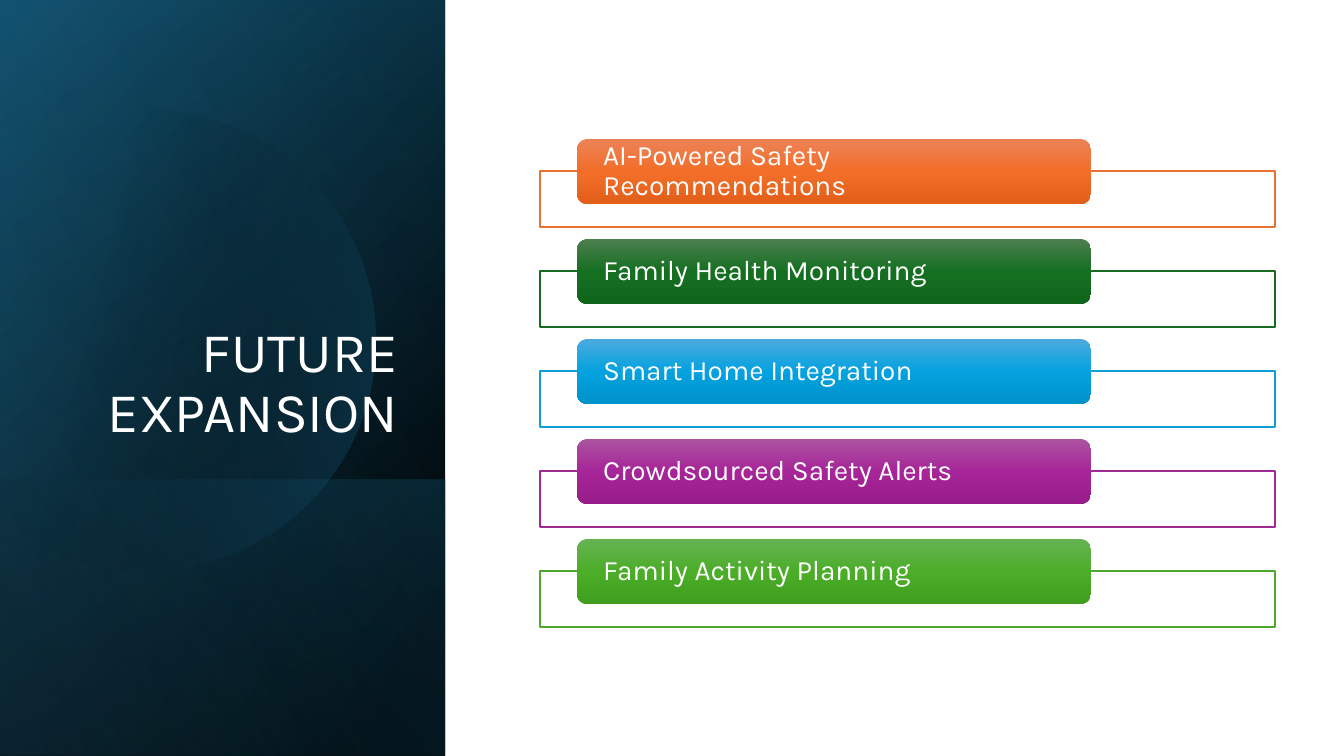
from dataclasses import dataclass
from math import acos, cos, sin

from pptx import Presentation
from pptx.dml.color import RGBColor
from pptx.enum.shapes import MSO_SHAPE as SHAPE
from pptx.enum.text import MSO_ANCHOR as ANCHOR, MSO_AUTO_SIZE as AUTOSIZE, PP_ALIGN as ALIGN
from pptx.oxml import parse_xml
from pptx.oxml.ns import nsdecls
from pptx.util import Pt

# Content
TITLE = "FUTURE EXPANSION"
# label, outline, pill gradient from top to bottom
ROWS = [
    ("AI-Powered Safety Recommendations", "E97132", ("ED8257", "F26E29", "E25F1A")),
    ("Family Health Monitoring", "196B24", ("4D7E50", "156F21", "0F661B")),
    ("Smart Home Integration", "0F9ED5", ("4CAADF", "05A2DF", "0092CB")),
    ("Crowdsourced Safety Alerts", "A02B93", ("AC53A0", "A62598", "991C8B")),
    ("Family Activity Planning", "4EA72E", ("66B354", "4BAD28", "409F1E")),
]


@dataclass(frozen=True)
class Theme:
    font: str = "Karla"
    title_size: int = 40
    label_size: int = 20
    white: str = "FFFFFF"
    black: str = "000000"
    teal: str = "104862"
    blue: str = "156082"
    sky: str = "46B1E1"


T = Theme()

# Geometry in px
SLIDE_W, SLIDE_H = 1344, 756
PANEL_W = 445
BAND_TOP = 480
DISC_X, DISC_Y, DISC_R, DISC_STEPS = 145, 340, 230, 120
TITLE_BOX = (64, 185, 344, 265)
FRAME_X, FRAME_Y, FRAME_W, FRAME_H = 540, 171, 735, 56
PILL_X, PILL_Y, PILL_W, PILL_H = 577, 139, 514, 65
ROW_PITCH = 100
LABEL_INSET = 23

# Panel layers: top, gradient stops (position %, colour, opacity %), angle
LAYERS = [
    (0, [(8, T.black, 100), (100, T.teal, 100)], 50),
    (0, [(0, T.black, 0), (99, T.blue, 46)], 30),
    (BAND_TOP, [(2, T.blue, 29), (100, T.black, 30)], 130),
]
DISC_STOPS = [(29, T.black, 0), (100, T.blue, 43)]
SHEEN = (0, [(0, T.black, 0), (99, T.sky, 11)], 120)


def px(n):
    return round(n * 914400 / 100.8)


def set_gradient(sp, stops, angle):
    sp.fill.background()
    stops_xml = "".join(
        f'<a:gs pos="{pos * 1000}"><a:srgbClr val="{color}">'
        f'<a:alpha val="{alpha * 1000}"/></a:srgbClr></a:gs>'
        for pos, color, alpha in stops)
    grad = parse_xml(
        f'<a:gradFill rotWithShape="1" {nsdecls("a")}><a:gsLst>{stops_xml}</a:gsLst>'
        f'<a:lin ang="{angle * 60000}" scaled="0"/></a:gradFill>')
    spPr = sp._element.spPr
    spPr.replace(spPr.find("{*}noFill"), grad)


def add_box(s, kind, x, y, w, h):
    sp = s.shapes.add_shape(kind, px(x), px(y), px(w), px(h))
    sp.shadow.inherit = False
    sp.line.fill.background()
    return sp


def add_layer(s, top, stops, angle):
    """Panel rectangle turned a quarter, mirrored, and reaching the slide bottom."""
    w, h = SLIDE_H - top, PANEL_W
    sp = add_box(s, SHAPE.RECTANGLE, (PANEL_W - w) / 2, (top + SLIDE_H - h) / 2, w, h)
    sp.rotation = 90
    sp._element.spPr.xfrm.set("flipH", "1")
    set_gradient(sp, stops, angle)


def add_disc(s):
    """Circle cut off by the left edge of the slide."""
    reach = acos(-DISC_X / DISC_R)
    angles = [reach * (2 * i / DISC_STEPS - 1) for i in range(DISC_STEPS + 1)]
    points = [(px(DISC_X + DISC_R * cos(a)), px(DISC_Y + DISC_R * sin(a))) for a in angles]
    builder = s.shapes.build_freeform(*points[0])
    builder.add_line_segments(points[1:], close=True)
    sp = builder.convert_to_shape()
    sp.shadow.inherit = False
    sp.line.fill.background()
    set_gradient(sp, DISC_STOPS, 14)


def write(sp, text, *, size, align=ALIGN.LEFT, anchor=ANCHOR.MIDDLE, inset=(10, 5)):
    tf = sp.text_frame
    tf.word_wrap = True
    tf.auto_size = AUTOSIZE.NONE
    tf.vertical_anchor = anchor
    tf.margin_left = tf.margin_right = px(inset[0])
    tf.margin_top = tf.margin_bottom = px(inset[1])
    p = tf.paragraphs[0]
    p.alignment, p.line_spacing = align, 0.9
    r = p.add_run()
    r.text = text
    r.font.name, r.font.size = T.font, Pt(size)
    r.font.color.rgb = RGBColor.from_string(T.white)


def add_row(s, i, label, outline, colors):
    frame = add_box(s, SHAPE.RECTANGLE, FRAME_X, FRAME_Y + i * ROW_PITCH, FRAME_W, FRAME_H)
    frame.fill.solid()
    frame.fill.fore_color.rgb = RGBColor.from_string(T.white)
    frame.line.color.rgb = RGBColor.from_string(outline)
    frame.line.width = Pt(1)

    pill = add_box(s, SHAPE.ROUNDED_RECTANGLE, PILL_X, PILL_Y + i * ROW_PITCH, PILL_W, PILL_H)
    set_gradient(pill, [(50 * n, color, 100) for n, color in enumerate(colors)], 90)
    write(pill, label, size=T.label_size, inset=(LABEL_INSET, 0))


def main():
    prs = Presentation()
    prs.slide_width, prs.slide_height = px(SLIDE_W), px(SLIDE_H)
    s = prs.slides.add_slide(prs.slide_layouts[5])

    # Dark panel
    for layer in LAYERS:
        add_layer(s, *layer)
    add_disc(s)
    add_layer(s, *SHEEN)

    # Title, raised above the panel
    title = s.shapes.title
    title.left, title.top, title.width, title.height = map(px, TITLE_BOX)
    write(title, TITLE, size=T.title_size, align=ALIGN.RIGHT, anchor=ANCHOR.BOTTOM)
    s.shapes._spTree.append(title._element)

    # Expansion list
    for i, row in enumerate(ROWS):
        add_row(s, i, *row)

    prs.save("out.pptx")


if __name__ == "__main__":
    main()
